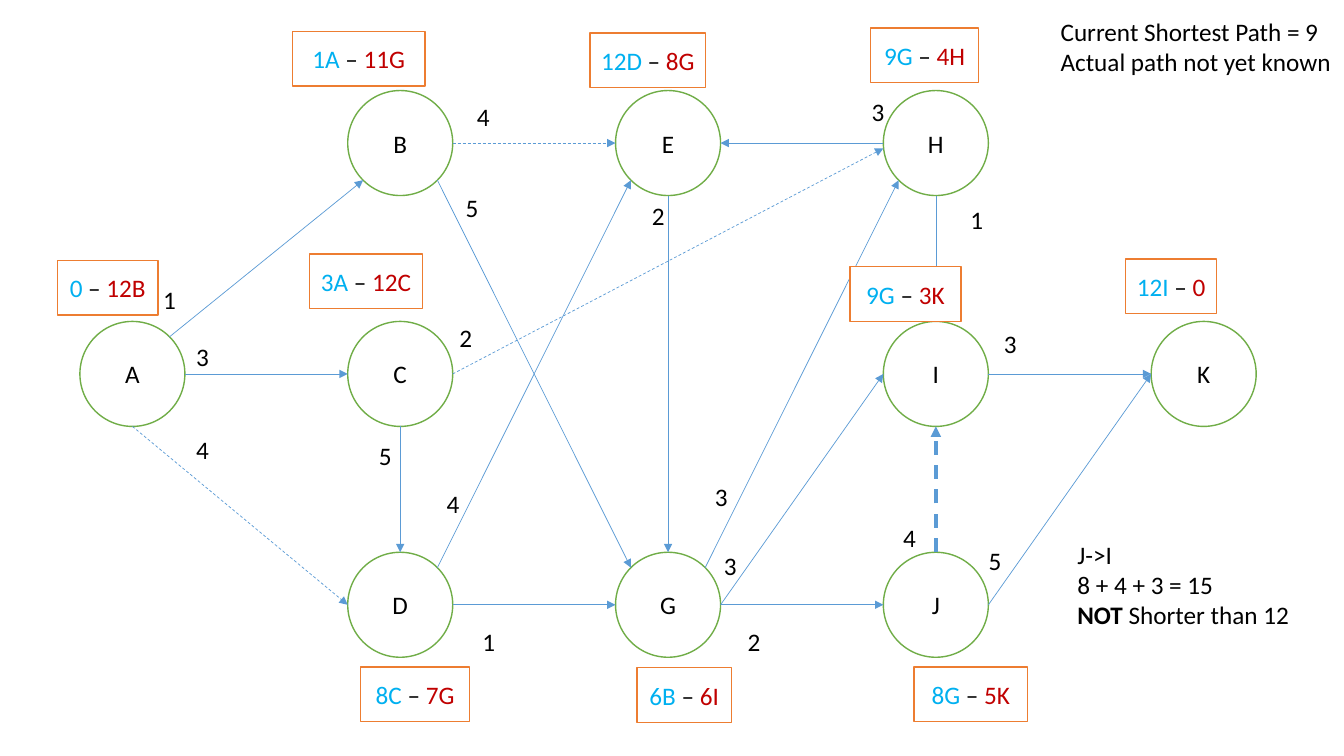
from math import sqrt
from pptx import Presentation
from pptx.dml.color import RGBColor
from pptx.enum.dml import MSO_LINE
from pptx.enum.shapes import MSO_CONNECTOR, MSO_SHAPE as SHAPE
from pptx.enum.text import MSO_ANCHOR, PP_ALIGN
from pptx.oxml.ns import qn
from pptx.util import Pt
from lxml.etree import SubElement

COLORS = {"white": "FFFFFF", "black": "000000", "node": "70AD47", "edge": "5B9BD5",
          "box": "ED7D31", "forward": "00B0F0", "backward": "C00000"}

deck = Presentation()
deck.slide_width, deck.slide_height = Pt(960), Pt(540)
page = deck.slides.add_slide(deck.slide_layouts[6])


def add_span(para, text, color="black", bold=False):
    span = para.add_run()
    span.text = text
    span.font.name, span.font.size, span.font.bold = "Calibri", Pt(18), bold
    span.font.color.rgb = RGBColor.from_string(COLORS[color])


def add_outlined(kind, left, top, width, height, line, spans):
    shape = page.shapes.add_shape(kind, Pt(left), Pt(top), Pt(width), Pt(height))
    shape.shadow.inherit = False
    shape.fill.solid()
    shape.fill.fore_color.rgb = RGBColor.from_string(COLORS["white"])
    shape.line.color.rgb = RGBColor.from_string(COLORS[line])
    shape.line.width = Pt(1)
    shape.text_frame.word_wrap = False
    shape.text_frame.vertical_anchor = MSO_ANCHOR.MIDDLE
    para = shape.text_frame.paragraphs[0]
    para.alignment = PP_ALIGN.CENTER
    for text, color in spans:
        add_span(para, text, color)


# Nodes on a grid: column and row
RADIUS = 37.5
nodes = {"A": (0, 1), "B": (1, 0), "C": (1, 1), "D": (1, 2), "E": (2, 0), "G": (2, 2),
         "H": (3, 0), "I": (3, 1), "J": (3, 2), "K": (4, 1)}
centers = {name: (94.6 + 191.3 * column, 102.2 + 164.9 * row)
           for name, (column, row) in nodes.items()}
for name, (x, y) in centers.items():
    add_outlined(SHAPE.OVAL, x - RADIUS, y - RADIUS, 2 * RADIUS, 2 * RADIUS,
                 "node", [(name, "black")])

# Edges: start node and side, end node and side, width, dashed
DIAGONAL = 1 / sqrt(2)
sides = {"n": (0, -1), "s": (0, 1), "w": (-1, 0), "e": (1, 0),
         "nw": (-DIAGONAL, -DIAGONAL), "ne": (DIAGONAL, -DIAGONAL),
         "sw": (-DIAGONAL, DIAGONAL), "se": (DIAGONAL, DIAGONAL),
         "w low": (-1, 0.1)}
edges = [
    ("A", "ne", "B", "sw", 0.5, False), ("A", "e", "C", "w", 0.5, False),
    ("B", "se", "G", "nw", 0.5, False), ("E", "s", "G", "n", 0.5, False),
    ("D", "e", "G", "w", 0.5, False), ("D", "ne", "E", "sw", 0.5, False),
    ("C", "s", "D", "n", 0.5, False), ("H", "w", "E", "e", 0.5, False),
    ("I", "e", "K", "w", 0.5, False), ("J", "e", "K", "w", 0.5, False),
    ("G", "e", "J", "w", 0.5, False), ("G", "e", "I", "w", 0.5, False),
    ("H", "s", "I", "n", 0.5, False), ("G", "ne", "H", "sw", 0.5, False),
    ("B", "e", "E", "w", 0.5, True), ("C", "e", "H", "w low", 0.5, True),
    ("A", "s", "D", "w", 0.5, True), ("J", "n", "I", "s", 2.5, True),
]
for start, start_side, end, end_side, width, dashed in edges:
    ends = [Pt(center + RADIUS * shift)
            for name, side in ((start, start_side), (end, end_side))
            for center, shift in zip(centers[name], sides[side])]
    edge = page.shapes.add_connector(MSO_CONNECTOR.STRAIGHT, *ends)
    edge.line.color.rgb = RGBColor.from_string(COLORS["edge"])
    edge.line.width = Pt(width)
    if dashed:
        edge.line.dash_style = MSO_LINE.DASH
    SubElement(edge.line._get_or_add_ln(), qn("a:tailEnd"), type="triangle")
    SubElement(edge._element.spPr, qn("a:effectLst"))

# Forward and backward distance boxes: left, top, width, texts
boxes = [
    (41, 186, 72, "0", "12B"), (209, 22.5, 94.5, "1A", "11G"),
    (421.5, 23.5, 82.5, "12D", "8G"), (622, 20, 77, "9G", "4H"),
    (653, 476.5, 81, "8G", "5K"), (455, 477, 67.5, "6B", "6I"),
    (257.5, 476.5, 78, "8C", "7G"), (607, 190.5, 79.5, "9G", "3K"),
    (221, 181.5, 81, "3A", "12C"), (804, 185, 65, "12I", "0"),
]
for left, top, width, forward, backward in boxes:
    add_outlined(SHAPE.RECTANGLE, left, top, width, 39, "box",
                 [(forward, "forward"), (" – ", "black"), (backward, "backward")])

# Edge weights and notes: left, top, width, height, lines of (text, bold) spans
weights = [
    (109.5, 199.5, "1"), (133, 240, "3"), (325.5, 134, "5"), (312, 345, "4"),
    (263.5, 311, "5"), (615.5, 65.5, "3"), (458.5, 139.5, "2"), (503.5, 340, "3"),
    (527, 443.5, "2"), (686, 142.5, "1"), (710, 231, "3"), (699, 386, "5"),
    (337.5, 443.5, "1"), (333.5, 69, "4"), (321, 227, "2"), (133, 306.5, "4"),
    (638, 369.5, "4"), (510, 389.5, "3"),
]
notes = [(left, top, 24, 29, [[(weight, False)]]) for left, top, weight in weights]
notes += [
    (750.5, 8, 209.5, 51, [[("Current Shortest Path = 9", False)],
                           [("Actual path not yet known", False)]]),
    (762.5, 381.5, 167, 73, [[("J->I", False)], [("8 + 4 + 3 = 15", False)],
                             [("NOT ", True), ("Shorter than 12", False)]]),
]
for left, top, width, height, lines in notes:
    note = page.shapes.add_textbox(Pt(left), Pt(top), Pt(width), Pt(height))
    frame = note.text_frame
    frame.word_wrap = False
    for number, spans in enumerate(lines):
        para = frame.add_paragraph() if number else frame.paragraphs[0]
        for text, bold in spans:
            add_span(para, text, bold=bold)

deck.save("out.pptx")
